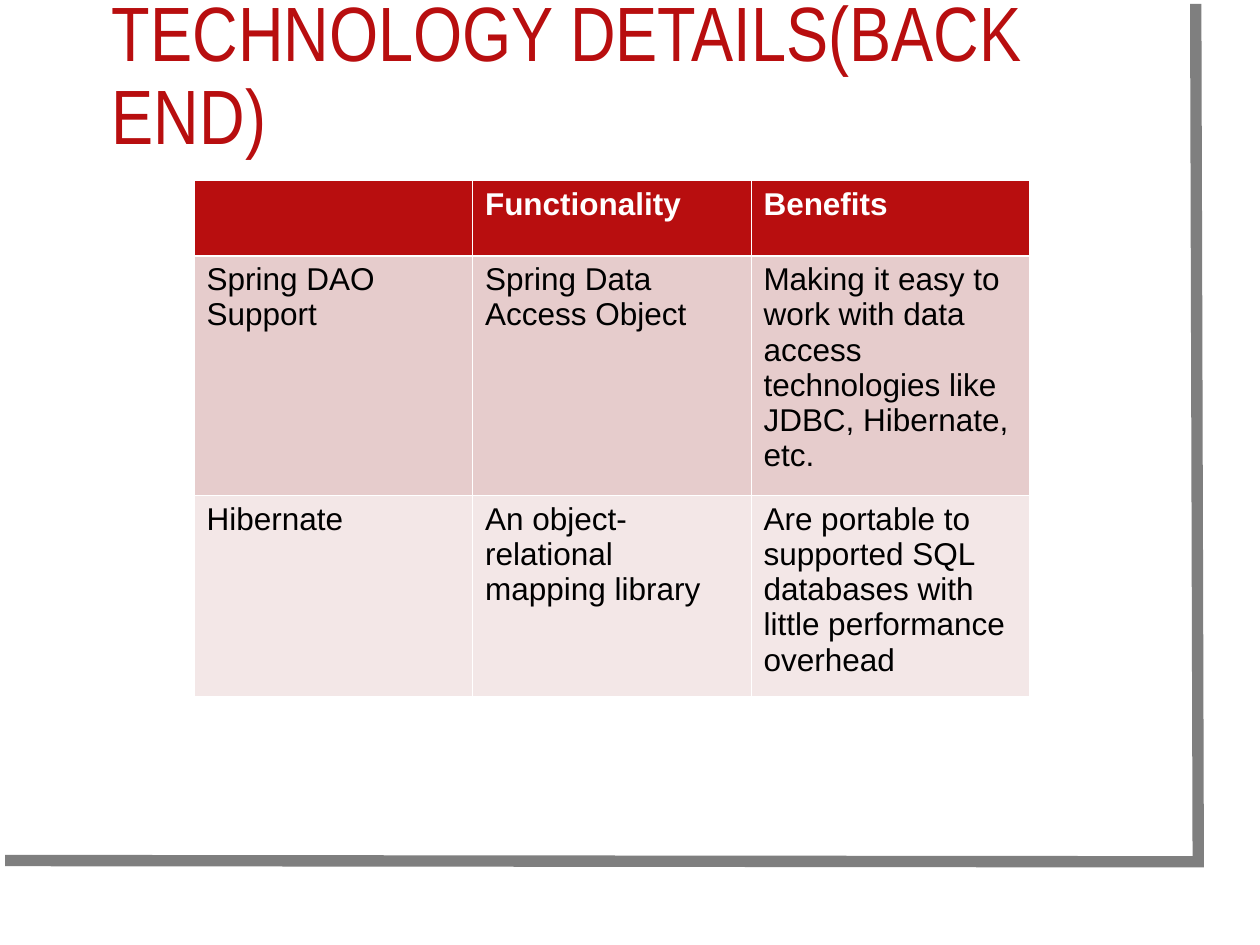
from lxml import etree
from pptx import Presentation
from pptx.dml.color import RGBColor
from pptx.enum.text import MSO_ANCHOR
from pptx.oxml.ns import qn
from pptx.util import Inches, Pt

RED, WHITE, BLACK, GRAY = "B80E0F", "FFFFFF", "000000", "7F7F7F"
THIN, THICK = 0.45, 1.47


def color(hex_string):
    return RGBColor.from_string(hex_string)


def add_borders(cell, top, bottom):
    """Draw white cell borders; must run before the cell is filled."""
    properties = cell._tc.get_or_add_tcPr()
    for tag, width in (("a:lnL", THIN), ("a:lnR", THIN), ("a:lnT", top), ("a:lnB", bottom)):
        border = etree.SubElement(properties, qn(tag), w=str(Pt(width)))
        fill = etree.SubElement(border, qn("a:solidFill"))
        etree.SubElement(fill, qn("a:srgbClr"), val=WHITE)


presentation = Presentation()
presentation.slide_width = Inches(10)
presentation.slide_height = Inches(7.5)
slide = presentation.slides.add_slide(presentation.slide_layouts[6])
slide.background.fill.solid()
slide.background.fill.fore_color.rgb = color(WHITE)

# Gray edge along the right and bottom
edge_path = slide.shapes.build_freeform(Inches(9.49), Inches(0.03))
edge_path.add_line_segments(
    [(Inches(9.51), Inches(6.84)), (Inches(0.04), Inches(6.83))], close=False
)
edge = edge_path.convert_to_shape()
edge.shadow.inherit = False
edge.fill.background()
edge.line.color.rgb = color(GRAY)
edge.line.width = Pt(6.5)
etree.SubElement(edge.line._get_or_add_ln(), qn("a:miter"), lim="800000")

# Technology table
technologies = [
    ["", "Functionality", "Benefits"],
    ["Spring DAO Support", "Spring Data Access Object",
     "Making it easy to work with data access technologies like JDBC, Hibernate, etc."],
    ["Hibernate", "An object-relational mapping library",
     "Are portable to supported SQL databases with little performance overhead"],
]
row_heights = [0.6, 1.9, 1.6]
row_fills = [RED, "E6CCCC", "F3E7E7"]
row_borders = [(THIN, THICK), (THICK, THIN), (THIN, THIN)]

table = slide.shapes.add_table(
    3, 3, Inches(1.54), Inches(1.43), Inches(6.63), Inches(sum(row_heights))
).table
for column in table.columns:
    column.width = Inches(2.21)

for r, texts in enumerate(technologies):
    table.rows[r].height = Inches(row_heights[r])
    for c, text in enumerate(texts):
        cell = table.cell(r, c)
        add_borders(cell, *row_borders[r])
        cell.fill.solid()
        cell.fill.fore_color.rgb = color(row_fills[r])
        cell.text = text
        font = cell.text_frame.paragraphs[0].font
        font.name = "Arial"
        font.size = Pt(18)
        font.bold = r == 0
        font.color.rgb = color(WHITE if r == 0 else BLACK)

# Title
title = slide.shapes.add_textbox(
    Inches(0.79), Inches(0.32), Inches(8.53), Inches(0.6)
).text_frame
title.word_wrap = True
title.vertical_anchor = MSO_ANCHOR.MIDDLE
heading = title.paragraphs[0]
heading.text = "TECHNOLOGY DETAILS(BACK END)"
heading.line_spacing = 0.9
heading.font.name = "Arial Narrow"
heading.font.size = Pt(44)
heading.font.color.rgb = color(RED)

presentation.save("out.pptx")
